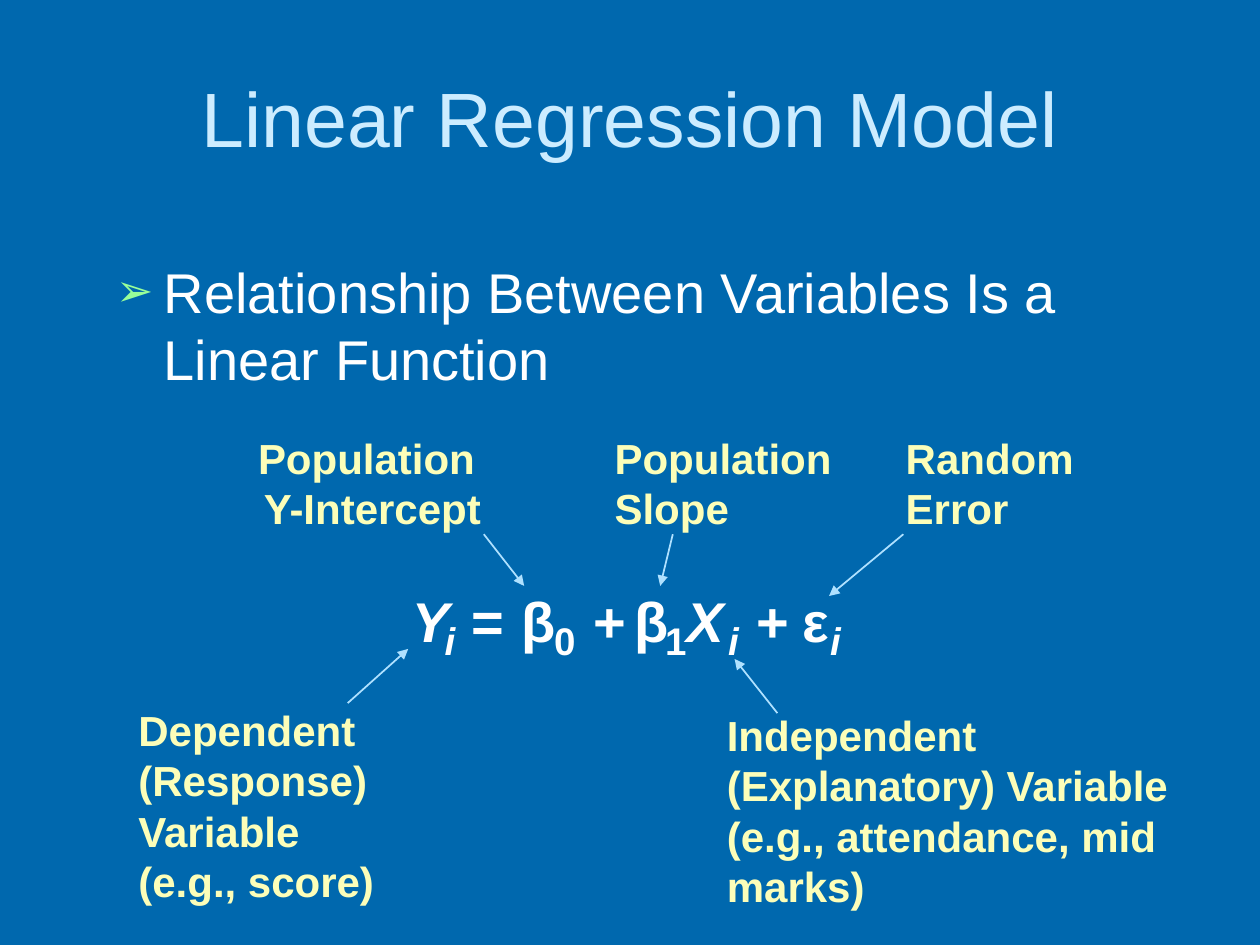
import pptx
import pptx.util
import pptx.dml.color
import pptx.enum.text
import pptx.enum.shapes
from dataclasses import dataclass
from lxml import etree
from pptx.oxml.ns import qn

Inches = pptx.util.Inches
Pt = pptx.util.Pt
RGBColor = pptx.dml.color.RGBColor
Align = pptx.enum.text.PP_ALIGN
Anchor = pptx.enum.text.MSO_ANCHOR
Fit = pptx.enum.text.MSO_AUTO_SIZE

BLUE = RGBColor(0x00, 0x68, 0xAE)
PALE = RGBColor(0xCC, 0xEC, 0xFF)
WHITE = RGBColor(0xFF, 0xFF, 0xFF)
CREAM = RGBColor(0xFC, 0xFE, 0xB9)
SKY = RGBColor(0xAF, 0xE1, 0xFF)
GREEN = RGBColor(0x99, 0xFF, 0x99)


@dataclass
class Term:
    text: str
    left: float
    width: float
    italic: bool = False
    sub: bool = False


@dataclass
class Label:
    text: str
    left: float
    top: float
    width: float
    height: float
    align: Align = Align.LEFT


@dataclass
class Arrow:
    start: tuple[float, float]
    end: tuple[float, float]


TERMS = [
    Term("Y", 3.17, 0.5, italic=True),
    Term("i", 3.43, 0.28, italic=True, sub=True),
    Term("=", 3.64, 0.55),
    Term("β", 4.04, 0.44),
    Term("0", 4.3, 0.37, sub=True),
    Term("+", 4.61, 0.46),
    Term("β", 4.94, 0.44),
    Term("1", 5.18, 0.37, sub=True),
    Term("X", 5.35, 0.5, italic=True),
    Term("i", 5.68, 0.28, italic=True, sub=True),
    Term("+", 5.91, 0.46),
    Term("ε", 6.27, 0.39),
    Term("i", 6.49, 0.28, italic=True, sub=True),
]

# A vertical tab is a line break within the paragraph
LABELS = [
    Label("Dependent (Response) Variable\v(e.g., score)", 1, 5.54, 2.41, 1.7),
    Label("Independent (Explanatory) Variable \v(e.g., attendance, mid marks)",
          5.67, 5.58, 4.08, 1.7),
    Label("Population Slope", 4.78, 3.38, 1.97, 0.9),
    Label("Population \vY-Intercept", 1.75, 3.38, 2.41, 0.9, Align.CENTER),
    Label("Random Error", 7.09, 3.38, 1.74, 0.9),
]

ARROWS = [
    Arrow((2.76, 5.58), (3.24, 5.15)),
    Arrow((6.17, 5.66), (5.83, 5.23)),
    Arrow((3.84, 4.24), (4.16, 4.65)),
    Arrow((5.34, 4.24), (5.24, 4.65)),
    Arrow((7.17, 4.24), (6.58, 4.73)),
]


def style(para, size: int, color: RGBColor, bold: bool = False, italic: bool = False) -> None:
    font = para.font
    font.name, font.size = "Arial", Pt(size)
    font.bold, font.italic = bold, italic
    font.color.rgb = color


def place(shape, left: float, top: float, width: float, height: float) -> None:
    shape.left, shape.top = Inches(left), Inches(top)
    shape.width, shape.height = Inches(width), Inches(height)


def add_text(slide, text: str, left: float, top: float, width: float, height: float, wrap: bool):
    box = slide.shapes.add_textbox(Inches(left), Inches(top), Inches(width), Inches(height))
    frame = box.text_frame
    frame.word_wrap = wrap
    frame.auto_size = Fit.SHAPE_TO_FIT_TEXT
    para = frame.paragraphs[0]
    para.text = text
    return para


def add_term(slide, term: Term) -> None:
    top, height, size = (4.85, 0.46, 22) if term.sub else (4.61, 0.63, 32)
    para = add_text(slide, term.text, term.left, top, term.width, height, False)
    style(para, size, WHITE, bold=True, italic=term.italic)


def add_label(slide, label: Label) -> None:
    para = add_text(slide, label.text, label.left, label.top, label.width, label.height, True)
    para.alignment = label.align
    style(para, 24, CREAM, bold=True)


def add_arrow(slide, arrow: Arrow) -> None:
    ends = [Inches(n) for n in arrow.start + arrow.end]
    line = slide.shapes.add_connector(pptx.enum.shapes.MSO_CONNECTOR.STRAIGHT, *ends)
    line.line.color.rgb = SKY
    line.line.width = Pt(1)
    etree.SubElement(line.line._get_or_add_ln(), qn("a:tailEnd"), type="triangle")
    etree.SubElement(line._element.spPr, qn("a:effectLst"))


def add_bullet(para, char: str, color: RGBColor, size: int, indent: float) -> None:
    props = para._p.get_or_add_pPr()
    props.set("marL", str(Inches(indent)))
    props.set("indent", str(-Inches(indent)))
    tint = etree.SubElement(props, qn("a:buClr"))
    etree.SubElement(tint, qn("a:srgbClr"), val=str(color))
    etree.SubElement(props, qn("a:buSzPct"), val=str(size * 1000))
    etree.SubElement(props, qn("a:buChar"), char=char)


def main() -> None:
    deck = pptx.Presentation()
    deck.slide_width, deck.slide_height = Inches(10), Inches(7.5)
    slide = deck.slides.add_slide(deck.slide_layouts[1])
    slide.background.fill.solid()
    slide.background.fill.fore_color.rgb = BLUE

    # Title
    title = slide.shapes.title
    place(title, 0.5, 0.3, 9, 1.25)
    title.text_frame.vertical_anchor = Anchor.MIDDLE
    title.text_frame.auto_size = Fit.NONE
    head = title.text_frame.paragraphs[0]
    head.text = "Linear Regression Model"
    head.alignment = Align.CENTER
    style(head, 44, PALE)

    # Statement
    body = slide.placeholders[1]
    place(body, 0.82, 1.99, 8.59, 4.61)
    body.text_frame.auto_size = Fit.NONE
    point = body.text_frame.paragraphs[0]
    point.text = "Relationship Between Variables Is a Linear Function"
    point.space_before = Pt(0)
    add_bullet(point, "➢", GREEN, 80, 0.38)
    style(point, 32, WHITE)

    # Equation, its labels and their arrows
    for term in TERMS:
        add_term(slide, term)
    for label in LABELS:
        add_label(slide, label)
    for arrow in ARROWS:
        add_arrow(slide, arrow)

    deck.save("out.pptx")


if __name__ == "__main__":
    main()
